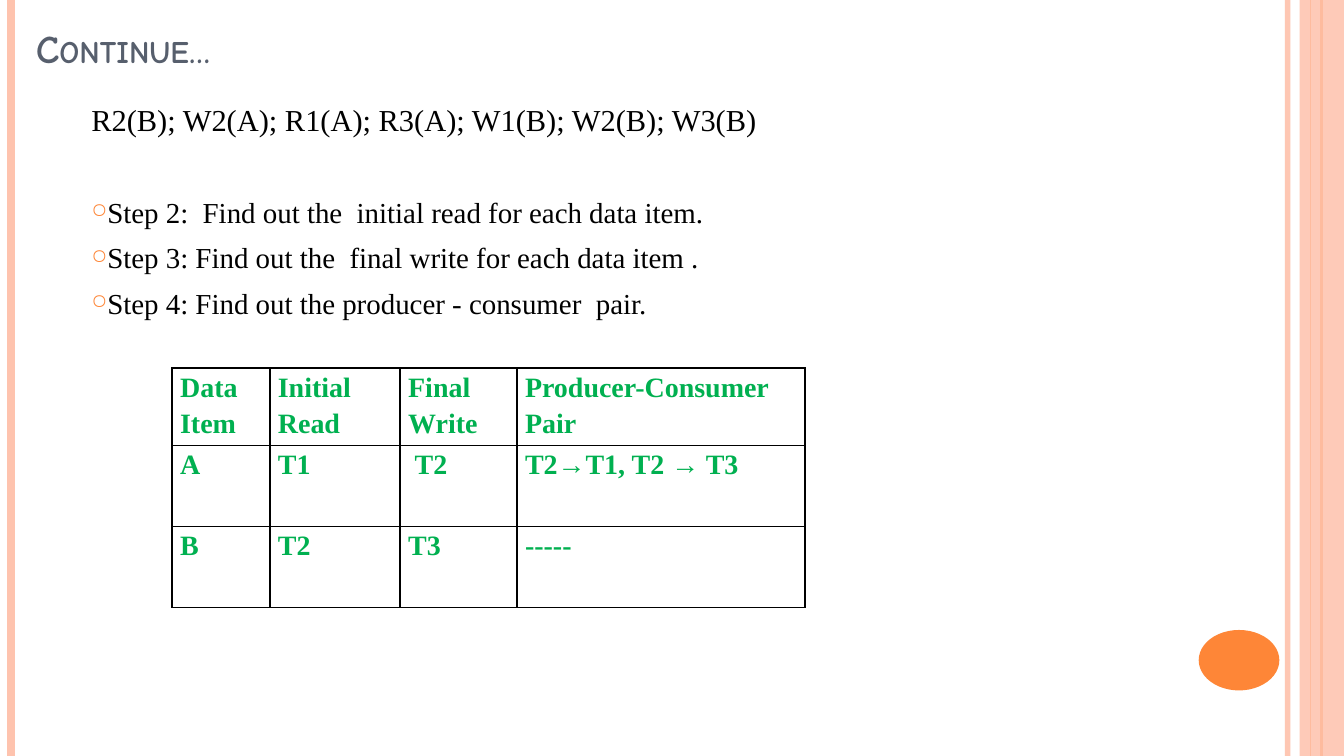
"""Build a slide on finding initial reads, final writes and producer-consumer pairs."""
from lxml import etree
from pptx import Presentation
from pptx.dml.color import RGBColor
from pptx.enum.shapes import MSO_CONNECTOR, MSO_SHAPE
from pptx.enum.text import MSO_ANCHOR, PP_ALIGN
from pptx.oxml.ns import qn
from pptx.util import Pt

STRAIGHT = MSO_CONNECTOR.STRAIGHT
RECTANGLE, OVAL = MSO_SHAPE.RECTANGLE, MSO_SHAPE.OVAL
BOTTOM, JUSTIFY = MSO_ANCHOR.BOTTOM, PP_ALIGN.JUSTIFY
PEACH = RGBColor(0xFE, 0xC3, 0xAE)
ORANGE = RGBColor(0xFE, 0x86, 0x37)
SLATE = RGBColor(0x57, 0x5F, 0x6D)
BLACK = RGBColor(0, 0, 0)
GREEN = RGBColor(0, 0xB0, 0x50)
SERIF = "Times New Roman"
WIDTH, HEIGHT = 720, 405


def add_run(paragraph, text, size, color, font=SERIF, bold=False):
    run = paragraph.add_run()
    run.text = text
    run.font.name = font
    run.font.size = Pt(size)
    run.font.bold = bold
    run.font.color.rgb = color
    return run


def set_opacity(shape, percent):
    color = next(shape.element.spPr.iter(qn("a:srgbClr")))
    etree.SubElement(color, qn("a:alpha"), val=str(percent * 1000))


presentation = Presentation()
presentation.slide_width, presentation.slide_height = Pt(WIDTH), Pt(HEIGHT)
slide = presentation.slides.add_slide(presentation.slide_layouts[6])
shapes = slide.shapes

stripes = [
    (689.8, PEACH, 3, 93),
    (5.8, PEACH, 4.5, 100),
    (707.8, ORANGE, 1.5, 100),
    (702, ORANGE, 0.75, 100),
]
for x, color, weight, opacity in stripes:
    stripe = shapes.add_connector(STRAIGHT, Pt(x), 0, Pt(x), Pt(HEIGHT))
    stripe.line.color.rgb = color
    stripe.line.width = Pt(weight)
    set_opacity(stripe, opacity)
    etree.SubElement(stripe.element.spPr, qn("a:effectLst"))

decorations = [
    (RECTANGLE, 696.2, 0, 23.8, HEIGHT, PEACH, 87),
    (OVAL, 642.2, 337.5, 43.2, 32.4, ORANGE, 100),
]
for kind, left, top, width, height, color, opacity in decorations:
    decoration = shapes.add_shape(kind, Pt(left), Pt(top), Pt(width), Pt(height))
    decoration.shadow.inherit = False
    decoration.fill.solid()
    decoration.fill.fore_color.rgb = color
    decoration.line.fill.background()
    set_opacity(decoration, opacity)

title = shapes.add_textbox(Pt(12.2), Pt(2.2), Pt(523.4), Pt(39.6)).text_frame
title.word_wrap = True
title.vertical_anchor = BOTTOM
title_run = add_run(title.paragraphs[0], "Continue…", 21, SLATE, "Comic Neue", True)
title_run.font._element.set("cap", "small")

body = shapes.add_textbox(Pt(41.8), Pt(49), Pt(612.7), Pt(127.4)).text_frame
body.word_wrap = True
body.margin_top = Pt(5.4)
schedule = body.paragraphs[0]
schedule.alignment = JUSTIFY
schedule.space_after = Pt(24)
add_run(schedule, "R2(B); W2(A); R1(A); R3(A); W1(B); W2(B); W3(B)", 16.3, BLACK)

steps = [
    "Step 2:  Find out the  initial read for each data item.",
    "Step 3: Find out the  final write for each data item .",
    "Step 4: Find out the producer - consumer  pair.",
]
for text in steps:
    step = body.add_paragraph()
    step.alignment = JUSTIFY
    step.line_spacing = Pt(24.6)
    add_run(step, text, 15.5, BLACK)
    properties = step._p.get_or_add_pPr()
    properties.set("marL", str(Pt(6.4)))
    properties.set("indent", str(-Pt(6.4)))
    bullet_color = etree.SubElement(properties, qn("a:buClr"))
    etree.SubElement(bullet_color, qn("a:srgbClr"), val=str(ORANGE))
    etree.SubElement(properties, qn("a:buSzPct"), val="70000")
    etree.SubElement(properties, qn("a:buChar"), char="○")

rows = [
    ["Data Item", "Initial Read", "Final Write", "Producer-Consumer Pair"],
    ["A", "T1", " T2", "T2→T1, T2 → T3"],
    ["B", "T2", "T3", "-----"],
]
column_widths = [52.4, 69.8, 62.6, 154.3]
row_heights = [40.4, 43.4, 43.4]
table = shapes.add_table(
    len(rows), len(column_widths), Pt(92.2), Pt(197.2),
    Pt(sum(column_widths)), Pt(sum(row_heights)),
).table
for column, width in zip(table.columns, column_widths):
    column.width = Pt(width)
for row, height, texts in zip(table.rows, row_heights, rows):
    row.height = Pt(height)
    for cell, text in zip(row.cells, texts):
        cell.margin_left = cell.margin_right = Pt(4.3)
        cell.margin_top = cell.margin_bottom = 0
        paragraph = cell.text_frame.paragraphs[0]
        paragraph.line_spacing = 1.15
        add_run(paragraph, text, 15, GREEN, bold=True)
        cell_properties = cell._tc.get_or_add_tcPr()
        for side in ("a:lnL", "a:lnR", "a:lnT", "a:lnB"):
            border = etree.SubElement(cell_properties, qn(side), w=str(Pt(1)))
            border_fill = etree.SubElement(border, qn("a:solidFill"))
            etree.SubElement(border_fill, qn("a:srgbClr"), val=str(BLACK))
        cell.fill.background()

presentation.save("out.pptx")
